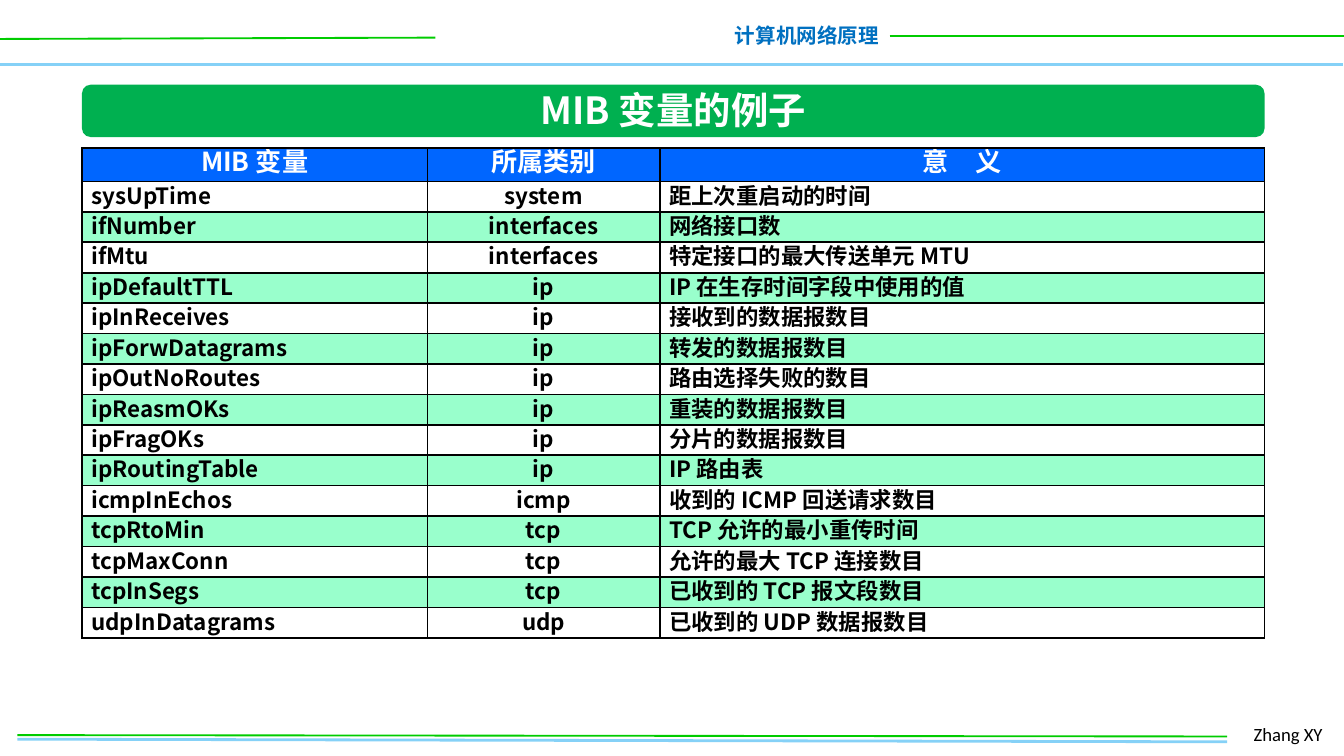
"""Build the slide that lists sample MIB variables in a table."""
from lxml import etree
from pptx import Presentation
from pptx.dml.color import RGBColor
from pptx.enum.shapes import MSO_CONNECTOR, MSO_SHAPE
from pptx.enum.text import MSO_ANCHOR, MSO_AUTO_SIZE, PP_ALIGN
from pptx.oxml import parse_xml
from pptx.oxml.ns import nsdecls, qn
from pptx.util import Inches, Pt

LINE = MSO_CONNECTOR.STRAIGHT
ROUND = MSO_SHAPE.ROUNDED_RECTANGLE
MIDDLE = MSO_ANCHOR.MIDDLE
GROW = MSO_AUTO_SIZE.SHAPE_TO_FIT_TEXT
LEFT, CENTER, RIGHT, FULL = PP_ALIGN.LEFT, PP_ALIGN.CENTER, PP_ALIGN.RIGHT, PP_ALIGN.JUSTIFY
SANS = "Noto Sans CJK SC"
rgb = RGBColor.from_string


def write(frame, text, size, color, align, bold=True, face=SANS):
    para = frame.paragraphs[0]
    para.alignment = align
    run = para.add_run()
    run.text = text
    font = run.font
    font.size, font.bold, font.name = Pt(size), bold, face
    font.color.rgb = rgb(color)
    etree.SubElement(run._r.get_or_add_rPr(), qn("a:ea"), typeface=face)
    return para


deck = Presentation()
deck.slide_width = Inches(10)
deck.slide_height = Inches(10 * 9 / 16)
slide = deck.slides.add_slide(deck.slide_layouts[6])
shapes = slide.shapes

rules = [
    (-0.01, 0.48, 9.99, 0.48, "85D1F7", 2),
    (0, 0.29, 3.24, 0.28, "00CC00", 1),
    (6.62, 0.27, 10.01, 0.27, "00CC00", 1),
    (0.13, 5.5, 9.13, 5.52, "85D1F7", 1.5),
    (0.13, 5.47, 9.13, 5.48, "00CC00", 1),
]
for x1, y1, x2, y2, color, width in rules:
    rule = shapes.add_connector(LINE, Inches(x1), Inches(y1), Inches(x2), Inches(y2))
    rule.line.color.rgb = rgb(color)
    rule.line.width = Pt(width)
    etree.SubElement(rule._element.spPr, qn("a:effectLst"))

banner = shapes.add_shape(ROUND, Inches(0.61), Inches(0.63), Inches(8.8), Inches(0.39))
banner.adjustments[0] = 0.17
banner.shadow.inherit = False
banner.fill.solid()
banner.fill.fore_color.rgb = rgb("00B050")
banner.line.fill.background()

labels = [
    (5.36, 0.12, 1.28, 0.29, False, "计算机网络原理", 11, "0070C0", RIGHT, True, SANS),
    (9.23, 5.33, 0.74, 0.27, True, "Zhang XY", 10, "000000", LEFT, False, "Calibri"),
    (3.88, 0.6, 2.26, 0.44, False, "MIB 变量的例子", 20, "FFFFFF", CENTER, True, SANS),
]
for left, top, width, height, wrap, *style in labels:
    box = shapes.add_textbox(Inches(left), Inches(top), Inches(width), Inches(height))
    box.text_frame.word_wrap = wrap
    box.text_frame.auto_size = GROW
    write(box.text_frame, *style)

rows = [
    ("MIB 变量", "所属类别", "意　义"),
    ("sysUpTime", "system", "距上次重启动的时间"),
    ("ifNumber", "interfaces", "网络接口数"),
    ("ifMtu", "interfaces", "特定接口的最大传送单元 MTU"),
    ("ipDefaultTTL", "ip", "IP 在生存时间字段中使用的值"),
    ("ipInReceives", "ip", "接收到的数据报数目"),
    ("ipForwDatagrams", "ip", "转发的数据报数目"),
    ("ipOutNoRoutes", "ip", "路由选择失败的数目"),
    ("ipReasmOKs", "ip", "重装的数据报数目"),
    ("ipFragOKs", "ip", "分片的数据报数目"),
    ("ipRoutingTable", "ip", "IP 路由表"),
    ("icmpInEchos", "icmp", "收到的 ICMP 回送请求数目"),
    ("tcpRtoMin", "tcp", "TCP 允许的最小重传时间"),
    ("tcpMaxConn", "tcp", "允许的最大 TCP 连接数目"),
    ("tcpInSegs", "tcp", "已收到的 TCP 报文段数目"),
    ("udpInDatagrams", "udp", "已收到的 UDP 数据报数目"),
]
high, head = 3.65, 0.25
grid = shapes.add_table(
    len(rows), 3, Inches(0.61), Inches(1.1), Inches(8.8), Inches(high)
).table
for col, width in zip(grid.columns, (2.57, 1.73, 4.5)):
    col.width = Inches(width)

for i, row in enumerate(rows):
    grid.rows[i].height = Inches(head if i == 0 else (high - head) / (len(rows) - 1))
    fill = "0066FF" if i == 0 else "FFFFFF" if i % 2 else "99FFCC"
    size, color = (14, "FFFFFF") if i == 0 else (12, "000000")
    for j, text in enumerate(row):
        cell = grid.cell(i, j)
        cell.margin_left = cell.margin_right = Inches(0.07)
        cell.margin_top = cell.margin_bottom = 0
        cell.vertical_anchor = MIDDLE
        align = CENTER if i == 0 or j == 1 else FULL
        para = write(cell.text_frame, text, size, color, align)
        para.line_spacing = Pt(15)
        props = cell._tc.get_or_add_tcPr()
        for side in ("lnL", "lnR", "lnT", "lnB"):
            props.append(parse_xml(
                f'<a:{side} {nsdecls("a")} w="{Pt(1)}"><a:solidFill>'
                f'<a:srgbClr val="000000"/></a:solidFill></a:{side}>'
            ))
        cell.fill.solid()
        cell.fill.fore_color.rgb = rgb(fill)

deck.save("out.pptx")
